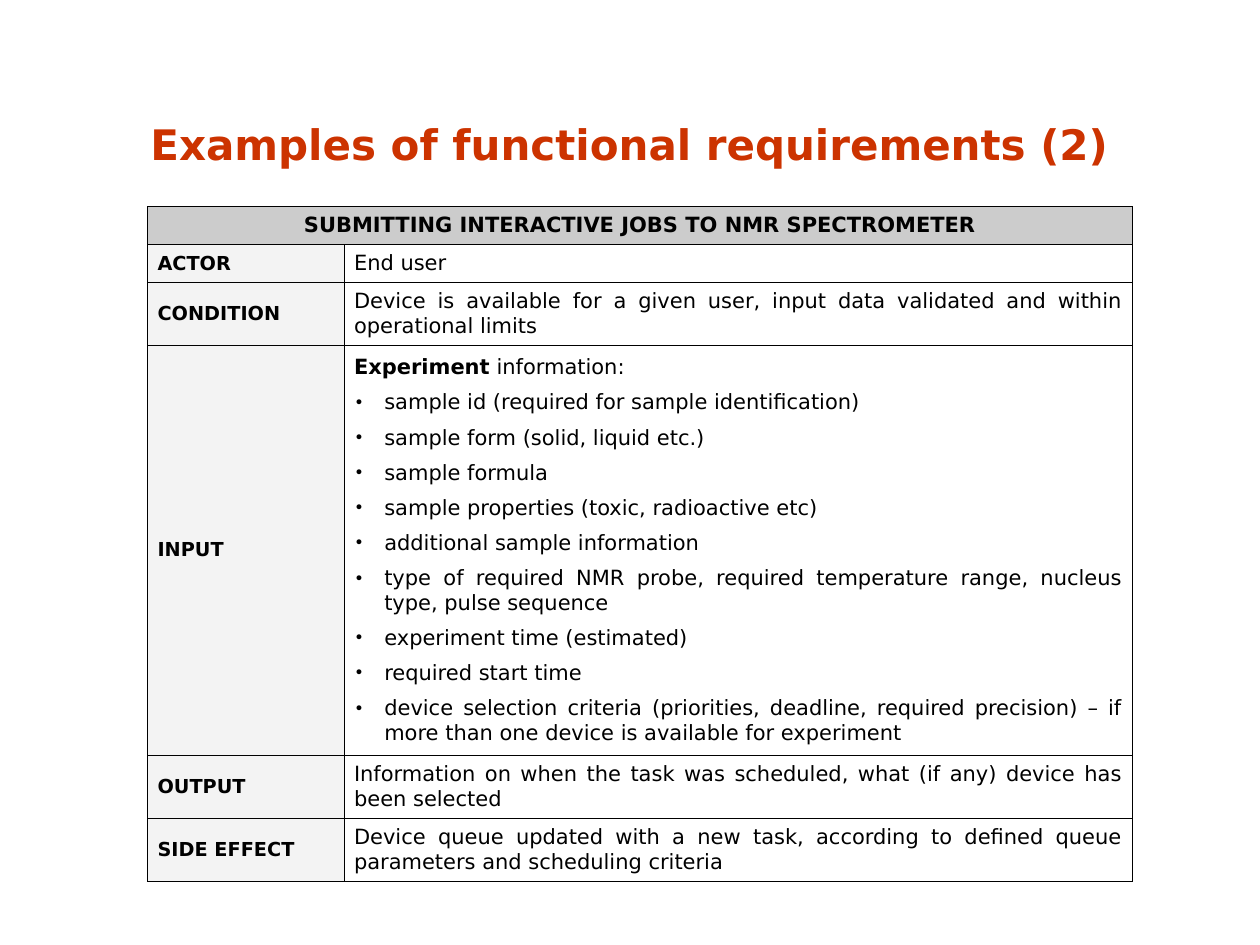
from dataclasses import dataclass

from lxml.etree import SubElement
from pptx import Presentation
from pptx.dml.color import RGBColor
from pptx.enum.text import MSO_ANCHOR, PP_ALIGN
from pptx.oxml.ns import qn
from pptx.slide import Slide
from pptx.util import Inches, Pt

RED = RGBColor(0xCC, 0x33, 0x00)
BLACK = RGBColor(0x00, 0x00, 0x00)
HEADER_GRAY = RGBColor(0xCC, 0xCC, 0xCC)
LABEL_GRAY = RGBColor(0xF3, 0xF3, 0xF3)

TITLE = "Examples of functional requirements (2)"
HEADER = "SUBMITTING INTERACTIVE JOBS TO NMR SPECTROMETER"
EXPERIMENT_ITEMS = [
    "sample id (required for sample identification)",
    "sample form (solid, liquid etc.)",
    "sample formula",
    "sample properties (toxic, radioactive etc)",
    "additional sample information",
    "type of required NMR probe, required temperature range, nucleus type, pulse sequence",
    "experiment time (estimated)",
    "required start time",
    "device selection criteria (priorities, deadline, required precision) – if more than "
    "one device is available for experiment",
]
REQUIREMENTS = [
    ("ACTOR", 0.28, "End user", []),
    ("CONDITION", 0.4, "Device is available for a given user, input data validated and "
     "within operational limits", []),
    ("INPUT", 3.15, ("Experiment", " information:"), EXPERIMENT_ITEMS),
    ("OUTPUT", 0.4, "Information on when the task was scheduled, what (if any) device "
     "has been selected", []),
    ("SIDE EFFECT", 0.4, "Device queue updated with a new task, according to defined "
     "queue parameters and scheduling criteria", []),
]


@dataclass
class RequirementSlide:
    """Holds the slide and its style, and adds the title, table and cell contents."""

    slide: Slide
    font_name: str = "DejaVu Sans"
    body_size: float = 12
    label_size: float = 11
    title_size: float = 24
    border_width: float = 0.45
    bullet_indent: float = 0.24

    def style(self, paragraph, size, color=BLACK, bold=None, align=PP_ALIGN.LEFT):
        paragraph.alignment = align
        font = paragraph.font
        font.name, font.size, font.bold = self.font_name, Pt(size), bold
        font.color.rgb = color

    def add_title(self, text, left, top, width, height):
        shape = self.slide.shapes.add_textbox(
            Inches(left), Inches(top), Inches(width), Inches(height))
        frame = shape.text_frame
        frame.word_wrap = True
        frame.vertical_anchor = MSO_ANCHOR.MIDDLE
        frame.margin_left = frame.margin_right = 0
        frame.margin_top = frame.margin_bottom = 0
        paragraph = frame.paragraphs[0]
        paragraph.text = text
        paragraph.line_spacing = 0.7
        self.style(paragraph, self.title_size, RED, True, PP_ALIGN.CENTER)

    def add_table(self, left, top, column_widths, row_heights):
        shape = self.slide.shapes.add_table(
            len(row_heights), len(column_widths), Inches(left), Inches(top),
            Inches(sum(column_widths)), Inches(sum(row_heights)))
        table = shape.table
        table.first_row = table.horz_banding = False
        for column, width in zip(table.columns, column_widths):
            column.width = Inches(width)
        for row, height in zip(table.rows, row_heights):
            row.height = Inches(height)
        for cell in table.iter_cells():
            self.format_cell(cell)
        return table

    def format_cell(self, cell):
        cell.vertical_anchor = MSO_ANCHOR.MIDDLE
        cell.margin_left = cell.margin_right = Inches(0.08)
        cell.margin_top = cell.margin_bottom = Inches(0.05)
        properties = cell._tc.get_or_add_tcPr()
        for side in ("a:lnL", "a:lnR", "a:lnT", "a:lnB"):
            line = SubElement(properties, qn(side), w=str(Pt(self.border_width)))
            fill = SubElement(line, qn("a:solidFill"))
            SubElement(fill, qn("a:srgbClr"), val=str(BLACK))
        cell.fill.background()

    def fill_heading(self, cell, text, size, color, align=PP_ALIGN.LEFT):
        cell.fill.solid()
        cell.fill.fore_color.rgb = color
        paragraph = cell.text_frame.paragraphs[0]
        paragraph.text = text
        self.style(paragraph, size, bold=True, align=align)

    def fill_details(self, cell, lead, items):
        paragraph = cell.text_frame.paragraphs[0]
        if isinstance(lead, str):
            paragraph.text = lead
        else:
            for text, bold in zip(lead, (True, False)):
                run = paragraph.add_run()
                run.text, run.font.bold = text, bold
        paragraph.space_after = Pt(3)
        self.style(paragraph, self.body_size, align=PP_ALIGN.JUSTIFY)
        for item in items:
            self.add_bullet(cell.text_frame, item)

    def add_bullet(self, frame, text):
        paragraph = frame.add_paragraph()
        paragraph.text = text
        properties = paragraph._p.get_or_add_pPr()
        indent = Inches(self.bullet_indent)
        properties.set("marL", str(indent))
        properties.set("indent", str(-indent))
        color = SubElement(properties, qn("a:buClr"))
        SubElement(color, qn("a:srgbClr"), val=str(BLACK))
        SubElement(properties, qn("a:buSzPct"), val="80000")
        SubElement(properties, qn("a:buFont"), typeface=self.font_name)
        SubElement(properties, qn("a:buChar"), char="•")
        paragraph.space_before = paragraph.space_after = Pt(3)
        self.style(paragraph, self.body_size, align=PP_ALIGN.JUSTIFY)


def main():
    presentation = Presentation()
    presentation.slide_width, presentation.slide_height = Inches(10), Inches(7.5)
    page = RequirementSlide(presentation.slides.add_slide(presentation.slide_layouts[6]))
    page.add_title(TITLE, 0.73, 0.74, 8.53, 0.9)

    row_heights = [0.29] + [height for _, height, _, _ in REQUIREMENTS]
    table = page.add_table(1.17, 1.64, [1.56, 6.26], row_heights)
    header = table.cell(0, 0)
    header.merge(table.cell(0, 1))
    page.fill_heading(header, HEADER, page.body_size, HEADER_GRAY, PP_ALIGN.CENTER)
    for row, (label, _, lead, items) in enumerate(REQUIREMENTS, start=1):
        page.fill_heading(table.cell(row, 0), label, page.label_size, LABEL_GRAY)
        page.fill_details(table.cell(row, 1), lead, items)
    presentation.save("out.pptx")


if __name__ == "__main__":
    main()
